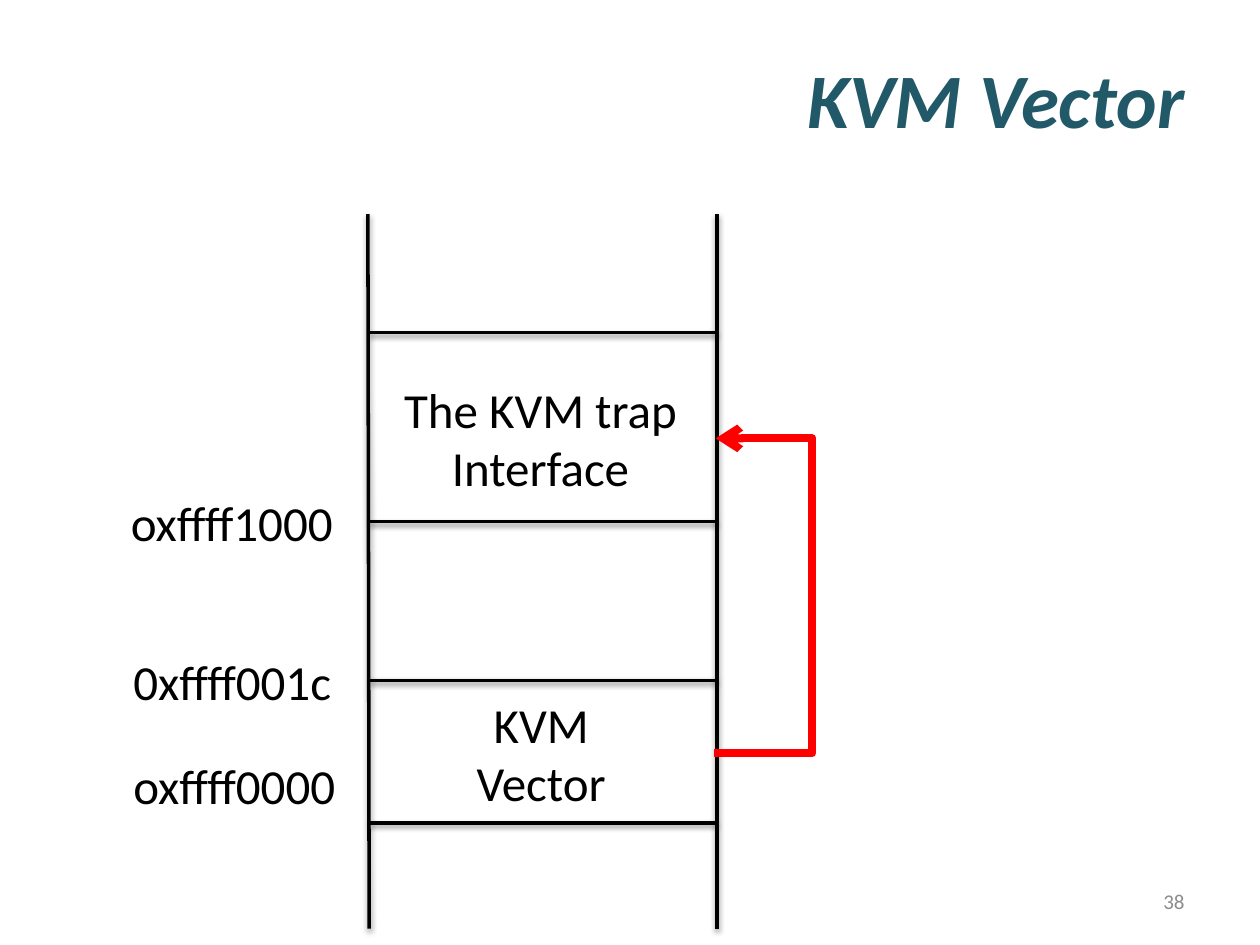
from dataclasses import dataclass

import lxml.etree
import pptx
import pptx.dml.color
import pptx.enum.shapes
import pptx.enum.text
import pptx.oxml.ns
import pptx.util

Inches = pptx.util.Inches
Align = pptx.enum.text.PP_ALIGN
Anchor = pptx.enum.text.MSO_ANCHOR
Connector = pptx.enum.shapes.MSO_CONNECTOR
qn = pptx.oxml.ns.qn

BLACK = "000000"
RED = "FF0000"
TEAL = "215968"
GREY = "8C8C8C"
LEFT_EDGE, RIGHT_EDGE = 2.93, 5.69
MEMORY_TOP, MEMORY_BOTTOM = 1.7, 7.37
ARROW_LEFT, ARROW_RIGHT, ARROW_SPAN = 5.67, 6.46, 0.01


@dataclass
class Label:
    text: str
    left: float
    top: float
    width: float
    height: float
    size: float = 28
    color: str = BLACK
    align: Align = Align.LEFT
    anchor: Anchor = Anchor.TOP
    emphasis: bool = False


@dataclass
class Line:
    start: tuple[float, float]
    end: tuple[float, float]
    color: str = BLACK
    weight: float = 2
    kind: Connector = Connector.STRAIGHT
    shadow: bool = True


LABELS = [
    Label("KVM Vector", 0.5, 0.3, 9, 0.95, 44, TEAL, Align.RIGHT, Anchor.MIDDLE, True),
    Label("38", 7.17, 6.95, 2.33, 0.4, 12, GREY, Align.RIGHT, Anchor.MIDDLE),
    Label("oxffff0000", 0.96, 5.95, 1.97, 0.57),
    Label("oxffff1000", 0.94, 3.86, 1.97, 0.57),
    Label("0xffff001c", 0.96, 5.12, 1.97, 0.57),
    Label("KVM\nVector", 2.93, 5.46, 2.73, 1.04, align=Align.CENTER),
    Label("The KVM trap\nInterface", 2.91, 2.96, 2.76, 1.04, align=Align.CENTER),
]

MEMORY_LINES = [
    Line((2.92, MEMORY_TOP), (LEFT_EDGE, MEMORY_BOTTOM)),
    Line((RIGHT_EDGE, MEMORY_TOP), (RIGHT_EDGE, MEMORY_BOTTOM)),
    *(Line((LEFT_EDGE, y), (RIGHT_EDGE, y)) for y in (2.64, 4.14, 5.4, 6.53)),
]

TRAP_ARROW = Line(
    (ARROW_LEFT, 5.98), (ARROW_LEFT + ARROW_SPAN, 3.48), RED, 4.5, Connector.ELBOW, False
)


def rgb(color: str) -> pptx.dml.color.RGBColor:
    return pptx.dml.color.RGBColor.from_string(color)


def add_label(slide, label: Label) -> None:
    shape = slide.shapes.add_textbox(
        Inches(label.left), Inches(label.top), Inches(label.width), Inches(label.height)
    )
    text_frame = shape.text_frame
    text_frame.word_wrap = True
    text_frame.vertical_anchor = label.anchor
    text_frame.text = label.text
    for paragraph in text_frame.paragraphs:
        paragraph.alignment = label.align
        for run in paragraph.runs:
            run.font.name = "Calibri"
            run.font.size = pptx.util.Pt(label.size)
            run.font.color.rgb = rgb(label.color)
            run.font.bold = run.font.italic = label.emphasis


def add_shadow(effects) -> None:
    shadow = lxml.etree.SubElement(
        effects,
        qn("a:outerShdw"),
        blurRad=str(pptx.util.Pt(3.1)),
        dist=str(pptx.util.Pt(1.6)),
        dir="5400000",
        rotWithShape="0",
    )
    color = lxml.etree.SubElement(shadow, qn("a:srgbClr"), val=BLACK)
    lxml.etree.SubElement(color, qn("a:alpha"), val="38000")


def add_line(slide, line: Line):
    connector = slide.shapes.add_connector(
        line.kind, *(Inches(value) for value in line.start + line.end)
    )
    connector.line.color.rgb = rgb(line.color)
    connector.line.width = pptx.util.Pt(line.weight)
    properties = connector._element.spPr
    effects = lxml.etree.SubElement(properties, qn("a:effectLst"))
    if line.shadow:
        add_shadow(effects)
    return connector


def add_trap_arrow(slide) -> None:
    properties = add_line(slide, TRAP_ARROW)._element.spPr
    bend = round((ARROW_RIGHT - ARROW_LEFT) / ARROW_SPAN * 100000)
    adjustments = properties.find(qn("a:prstGeom")).find(qn("a:avLst"))
    lxml.etree.SubElement(adjustments, qn("a:gd"), name="adj1", fmla=f"val {bend}")
    lxml.etree.SubElement(properties.find(qn("a:ln")), qn("a:tailEnd"), type="arrow")


def main() -> None:
    presentation = pptx.Presentation()
    presentation.slide_width = Inches(10)
    presentation.slide_height = Inches(7.5)
    slide = presentation.slides.add_slide(presentation.slide_layouts[6])
    for line in MEMORY_LINES:
        add_line(slide, line)
    for label in LABELS:
        add_label(slide, label)
    add_trap_arrow(slide)
    presentation.save("out.pptx")


if __name__ == "__main__":
    main()
